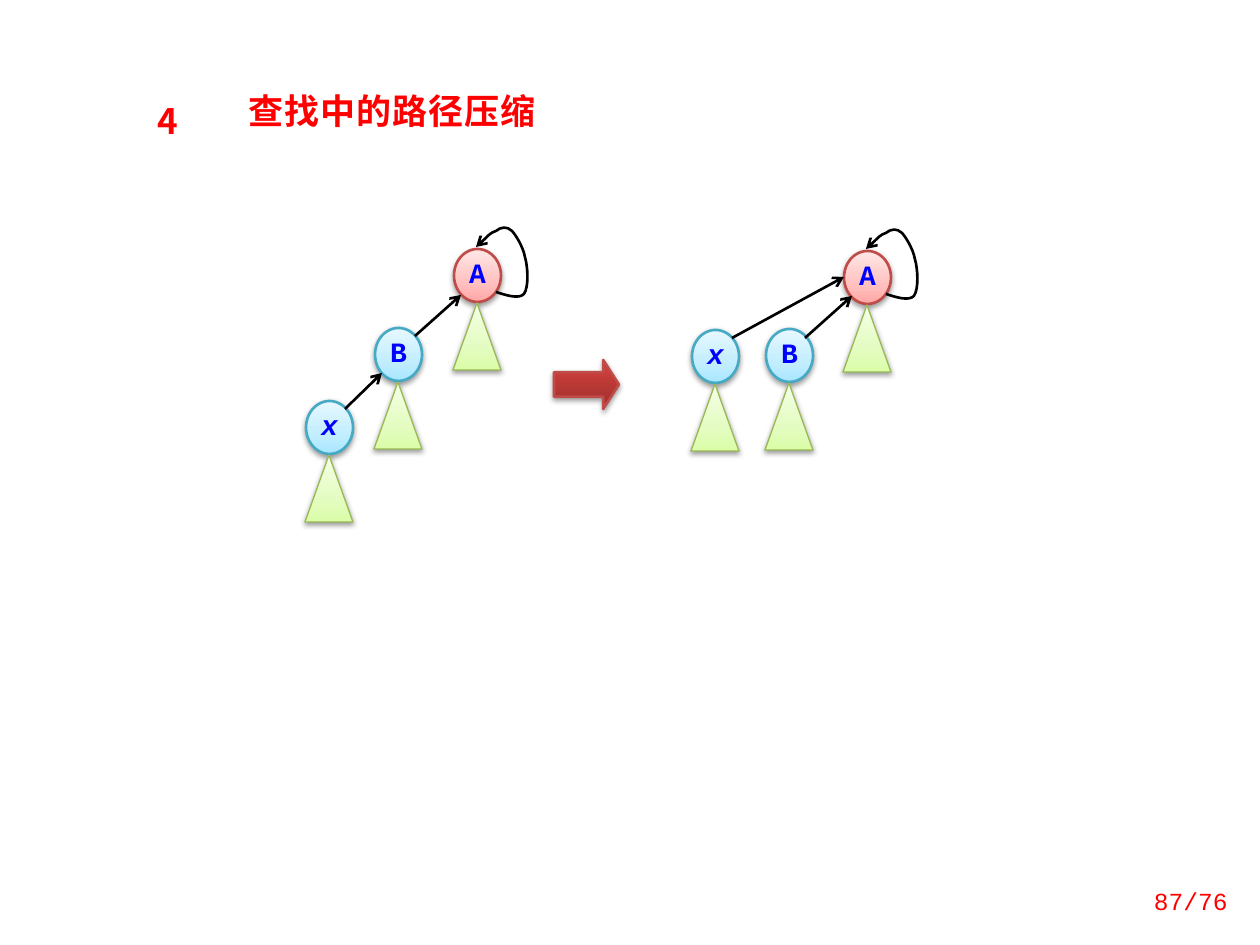
from lxml import etree
from pptx import Presentation
from pptx import util as u
from pptx.dml.color import RGBColor
from pptx.enum import shapes, text
from pptx.oxml.ns import qn

PX = u.Inches(1) / 126
COLORS = {"red": "FF0000", "blue": "0000FF", "black": "000000"}
STYLES = {
    "root": {"stops": [(0, "FFA6A5"), (35, "FFC0BF"), (100, "FFE7E7")], "line": "BF4C48", "width": 1.5},
    "node": {"stops": [(0, "A7E6FF"), (35, "C1EDFF"), (100, "E7F8FF")], "line": "46AAC5", "width": 1.5},
    "subtree": {"stops": [(0, "DAFDA7"), (35, "E4FCC2"), (100, "F5FFE7")], "line": "98B955", "width": 0.75},
    "step": {"stops": [(0, "9C2F2D"), (80, "CB3E3A"), (100, "CE3B37")], "line": "BF4C48", "width": 1.5},
}
CJK, MONO = "Noto Sans CJK SC", "Courier New"


def px(*lengths):
    return [u.Emu(round(length * PX)) for length in lengths]


def add_styled(preset, box, style):
    """Add a preset shape with a three-stop gradient, an outline and a soft shadow."""
    shape = slide.shapes.add_shape(preset, *px(*box))
    shape.fill.gradient()
    shape.fill.gradient_angle = 90
    stops = next(shape._element.iter(qn("a:gsLst")))
    stops.clear()
    for position, color in style["stops"]:
        stop = etree.SubElement(stops, qn("a:gs"), pos=str(position * 1000))
        etree.SubElement(stop, qn("a:srgbClr"), val=color)
    shape.line.color.rgb = RGBColor.from_string(style["line"])
    shape.line.width = u.Pt(style["width"])
    shape.shadow.inherit = False
    effects = next(shape._element.iter(qn("a:effectLst")))
    shadow = etree.SubElement(effects, qn("a:outerShdw"), blurRad=str(u.Pt(3.1)),
                              dist=str(u.Pt(1.6)), dir="5400000", rotWithShape="0")
    tint = etree.SubElement(shadow, qn("a:srgbClr"), val=COLORS["black"])
    etree.SubElement(tint, qn("a:alpha"), val="38000")
    return shape


prs = Presentation()
prs.slide_width, prs.slide_height = px(1260, 945)
slide = prs.slides.add_slide(prs.slide_layouts[5])

# Heading, its number and the page number
heading = slide.shapes.title
heading.left, heading.top, heading.width, heading.height = px(236, 83, 325, 55)
number = slide.shapes.add_textbox(*px(141, 101, 53, 47))
page = slide.shapes.add_textbox(*px(1106, 876, 134, 50))
left, center, right = text.PP_ALIGN.LEFT, text.PP_ALIGN.CENTER, text.PP_ALIGN.RIGHT
top, middle = text.MSO_ANCHOR.TOP, text.MSO_ANCHOR.MIDDLE
for box, words, align, anchor, spacing, font in [
    (heading, "查找中的路径压缩", left, top, 1.0, {"name": CJK, "size": u.Pt(20), "bold": True}),
    (number, "4", center, top, 0.8, {"name": CJK, "size": u.Pt(20), "bold": True}),
    (page, "87/76", right, middle, 1.0, {"name": MONO, "size": u.Pt(14), "bold": False}),
]:
    frame = box.text_frame
    frame.word_wrap = True
    frame.vertical_anchor = anchor
    paragraph = frame.paragraphs[0]
    paragraph.alignment = align
    paragraph.line_spacing = spacing
    run = paragraph.add_run()
    run.text = words
    for key, value in font.items():
        setattr(run.font, key, value)
    run.font.color.rgb = RGBColor.from_string(COLORS["red"])
    if font["name"] == CJK:
        etree.SubElement(run._r.get_or_add_rPr(), qn("a:ea"), typeface=CJK)
heading.text_frame.paragraphs[0].runs[0]._r.get_or_add_rPr().set("spc", "50")

# Nodes, each with its subtree below: before and after compression
roots = [(454, 249), (844, 251)]
nodes = [("A", *roots[0]), ("B", 375, 328), ("x", 306, 401),
         ("A", *roots[1]), ("B", 766, 329), ("x", 692, 330)]
for label, x, y in nodes:
    node = add_styled(shapes.MSO_SHAPE.OVAL, (x, y, 47, 53), STYLES["root" if label == "A" else "node"])
    frame = node.text_frame
    frame.margin_left = frame.margin_right = 0
    frame.margin_top = frame.margin_bottom = px(5)[0]
    frame.vertical_anchor = middle
    paragraph = frame.paragraphs[0]
    paragraph.alignment = center
    paragraph.line_spacing = u.Pt(16)
    run = paragraph.add_run()
    run.text = label
    for key, value in {"name": MONO, "size": u.Pt(16), "bold": True, "italic": label == "x"}.items():
        setattr(run.font, key, value)
    run.font.color.rgb = RGBColor.from_string(COLORS["blue"])
    add_styled(shapes.MSO_SHAPE.ISOSCELES_TRIANGLE, (x - 1, y + 54, 48, 67), STYLES["subtree"])

step = add_styled(shapes.MSO_SHAPE.RIGHT_ARROW, (554, 360, 65, 49), STYLES["step"])
step.adjustments[1] = 0.32

# Parent links, with the arrowhead at the parent
links = []
for ends in [(461, 295, 415, 336), (382, 373, 345, 409), (852, 296, 805, 338), (844, 277, 732, 338)]:
    link = slide.shapes.add_connector(shapes.MSO_CONNECTOR.STRAIGHT, *px(*ends))
    links.append((link, "a:headEnd"))

# Self loops of the roots: a start point, then three points for each curve
loop_points = [(42, 43), (54, 47), (65, 50), (70, 45), (75, 38), (74, 18), (71, 8), (69, -3),
               (61, -15), (58, -18), (53, -23), (47, -22), (42, -18), (36, -16), (27, -6), (22, -2)]
for x, y in roots:
    start, *controls = [(x + dx, y + dy) for dx, dy in loop_points]
    builder = slide.shapes.build_freeform(*start, scale=PX)
    builder.add_line_segments(controls, close=False)
    loop = builder.convert_to_shape()
    loop.fill.background()
    segments = list(loop._element.iter(qn("a:lnTo")))
    for i in range(0, len(segments), 3):
        curve = etree.SubElement(segments[i].getparent(), qn("a:cubicBezTo"))
        for segment in segments[i:i + 3]:
            curve.append(segment[0])
            segment.getparent().remove(segment)
    links.append((loop, "a:tailEnd"))

for link, end in links:
    link.line.color.rgb = RGBColor.from_string(COLORS["black"])
    link.line.width = u.Pt(1.5)
    etree.SubElement(link.line._get_or_add_ln(), qn(end), type="arrow")
    etree.SubElement(link._element.spPr, qn("a:effectLst"))

prs.save("out.pptx")
